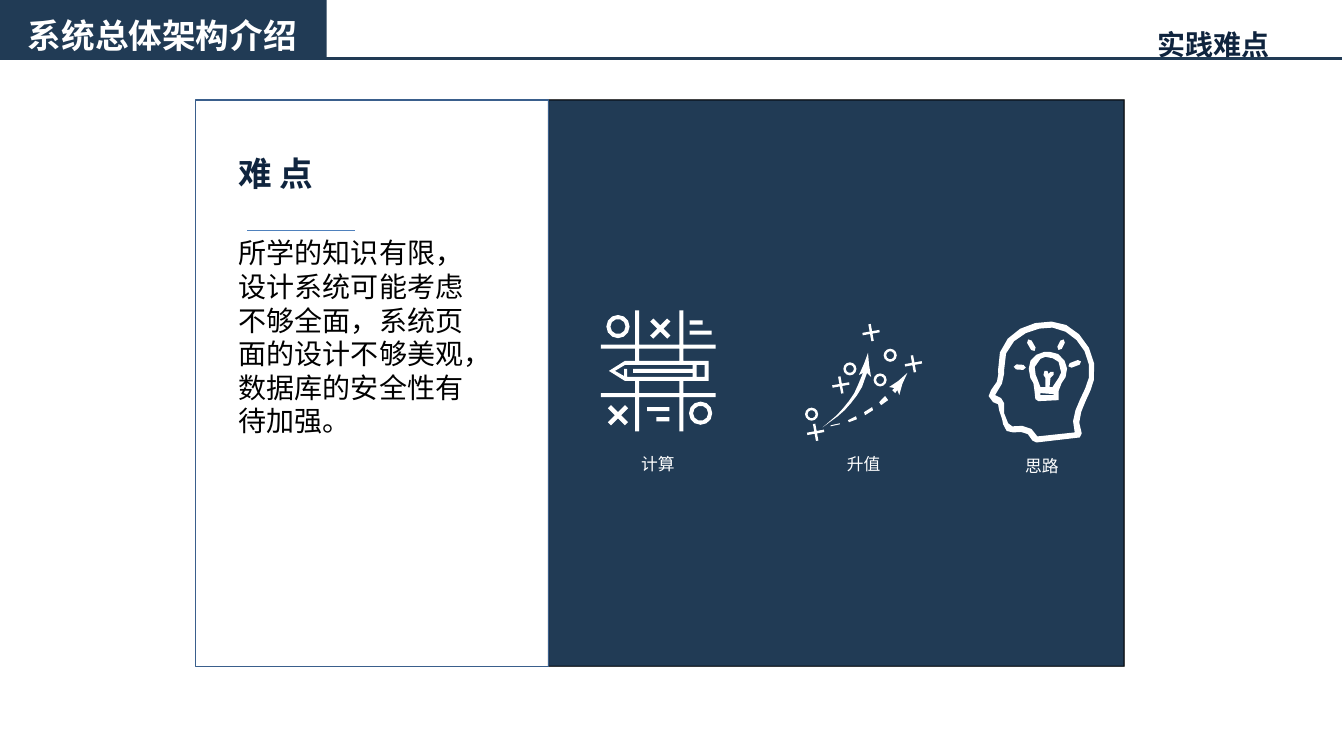
import math

from lxml import etree
from pptx import Presentation, util as u
from pptx.dml.color import RGBColor
from pptx.enum import shapes, text
from pptx.oxml.ns import qn

NAVY, INK, WHITE, BLACK = "213B55", "0F243E", "FFFFFF", "000000"
LEFT, CENTER, RIGHT = text.PP_ALIGN.LEFT, text.PP_ALIGN.CENTER, text.PP_ALIGN.RIGHT
TOP, MIDDLE = text.MSO_ANCHOR.TOP, text.MSO_ANCHOR.MIDDLE


def colour(value):
    return RGBColor.from_string(value)


def inches(*lengths):
    return [u.Inches(length) for length in lengths]


# ---- Basic parts ----
def paint(shape, fill=None, line=None, width=1):
    if fill:
        shape.fill.solid()
        shape.fill.fore_color.rgb = colour(fill)
    else:
        shape.fill.background()
    if line:
        shape.line.color.rgb = colour(line)
        shape.line.width = u.Pt(width)
    else:
        shape.line.fill.background()


def write(shape, words, size, ink, bold=False, font="Arial", align=LEFT, anchor=TOP, spacing=None):
    frame = shape.text_frame
    layout = {"word_wrap": True, "auto_size": text.MSO_AUTO_SIZE.NONE, "vertical_anchor": anchor}
    for name, value in layout.items():
        setattr(frame, name, value)
    para = frame.paragraphs[0]
    para.alignment, para.line_spacing = align, spacing
    span = para.add_run()
    span.text = words
    for name, value in {"name": font, "size": u.Pt(size), "bold": bold}.items():
        setattr(span.font, name, value)
    span.font.color.rgb = colour(ink)


def add_rect(page, box, **look):
    rect = page.shapes.add_shape(shapes.MSO_SHAPE.RECTANGLE, *inches(*box))
    rect.shadow.inherit = False
    paint(rect, **look)
    return rect


def add_label(page, box, words, size, ink, **look):
    write(page.shapes.add_textbox(*inches(*box)), words, size, ink, **look)


def add_rule(page, left, top, length, ink, width):
    rule = page.shapes.add_connector(
        shapes.MSO_CONNECTOR.STRAIGHT, *inches(left, top, left + length, top))
    rule.line.color.rgb = colour(ink)
    rule.line.width = u.Pt(width)
    etree.SubElement(rule._element.spPr, qn("a:effectLst"))


# ---- Icon outlines, in hundredths of an inch ----
def bar(left, top, right, bottom):
    return [(left, top), (right, top), (right, bottom), (left, bottom)]


def circle(x, y, radius, steps):
    turns = [2 * math.pi * step / steps for step in range(steps)]
    return [(x + radius * math.cos(turn), y + radius * math.sin(turn)) for turn in turns]


def ring(x, y, outer, inner):
    return [circle(x, y, outer, 12), circle(x, y, inner, 10)]


def cross(x, y, arm, half, tilt):
    points = []
    for quarter in range(4):
        turn = math.radians(tilt + 90 * quarter)
        c, s = math.cos(turn), math.sin(turn)
        points += [(x + a * c - b * s, y + a * s + b * c)
                   for a, b in ((arm, -half), (arm, half), (half, half))]
    return points


def ray(x1, y1, x2, y2, half=2.5):
    """A stroke with pointed ends."""
    length = math.hypot(x2 - x1, y2 - y1)
    dx, dy = half * (x2 - x1) / length, half * (y2 - y1) / length
    return [(x1 - dx, y1 - dy), (x1 + dy, y1 - dx), (x2 + dy, y2 - dx),
            (x2 + dx, y2 + dy), (x2 - dy, y2 + dx), (x1 - dy, y1 + dx)]


def curve(start, *arcs):
    """Follow cubic arcs (x1, y1, x2, y2, x, y); a pair (x, y) is a straight step."""
    points = [start]
    for arc in arcs:
        knots = [points[-1], arc[:2], arc[2:4], arc[4:]]
        if len(arc) == 2:
            points.append(arc)
            continue
        steps = max(1, min(5, round(math.dist(knots[0], knots[3]) / 8)))
        for step in range(1, steps + 1):
            t = step / steps
            weights = ((1 - t) ** 3, 3 * t * (1 - t) ** 2, 3 * t * t * (1 - t), t ** 3)
            points.append(tuple(sum(w * knot[axis] for w, knot in zip(weights, knots))
                                for axis in (0, 1)))
    return points


def calculation_outlines():
    frame = [(34, 0), (38, 0), (38, 34), (78, 34), (78, 0), (82, 0), (82, 34), (114, 34),
             (114, 38), (82, 38), (82, 50), (107, 50), (107, 70), (82, 70), (82, 82),
             (114, 82), (114, 86), (82, 86), (82, 120), (78, 120), (78, 86), (38, 86),
             (38, 120), (34, 120), (34, 86), (0, 86), (0, 82), (34, 82), (34, 70), (24, 70),
             (8, 60), (24, 50), (34, 50), (34, 38), (0, 38), (0, 34), (34, 34)]
    pencil = [(24, 54), (14, 60), (23, 65), (23, 58), (26, 58), (26, 66), (91, 66),
              (91, 62), (32, 62), (32, 58), (91, 58), (91, 54)]
    holes = [bar(38, 70, 78, 82), bar(38, 38, 78, 50), bar(95, 54, 103, 66)]
    signs = [bar(55, 106, 68, 110), bar(46, 96, 68, 100), bar(88, 20, 110, 24),
             bar(88, 10, 101, 14)]
    crosses = [cross(x, y, 12, 2.2, 45) for x, y in ((17, 104), (59, 18))]
    return [frame, pencil, *holes, *signs, *crosses,
            *ring(17, 16, 11.5, 7.5), *ring(99, 102, 11.5, 7.5)]


def growth_outlines():
    arrow = curve((62, 29), (63, 41), (65, 53), (61, 49), (56, 63),
                  (53, 69, 49, 74, 45, 79), (41, 84, 37, 88, 32, 92), (17, 103), (31, 91),
                  (35, 87, 39, 82, 43, 77), (47, 72, 50, 67, 52, 61), (57, 49),
                  (53, 51), (58, 40))
    tip = [(101, 49), (96, 60), (93, 71), (91, 66), (89, 69), (86, 66), (88, 64), (83, 63),
           (92, 57)]
    dashes = [[(34, 99), (34, 100), (25, 102), (25, 101)],
              [(50, 92), (51, 95), (43, 98), (42, 96)],
              [(66, 83), (67, 86), (59, 91), (58, 88)],
              [(79, 72), (82, 76), (75, 81), (73, 78)]]
    crosses = [cross(x, y, 8.5, 1.2, -10) for x, y in ((10, 108), (35, 61), (107, 40), (65, 9))]
    rings = [outline for x, y in ((6, 90), (74, 56), (44, 45), (84, 31.5))
             for outline in ring(x, y, 6.5, 4)]
    return [arrow, tip, *dashes, *crosses, *rings]


def idea_outlines():
    head = curve((62, 0), (87, 0, 110, 31, 104, 58), (101, 75, 83, 93, 92, 111),
                 (90, 115), (47, 120), (43, 118), (40, 109, 32, 109, 24, 110),
                 (20, 111, 14, 108, 14, 102), (13, 97), (10, 96, 7, 92, 10, 88),
                 (9, 82), (4, 80), (-1, 77, -2, 71, 2, 68), (11, 60, 9, 50, 9, 48),
                 (6, 16, 35, -1, 62, 0))
    face = curve((63, 6), (43, 5, 12, 17, 15, 48), (15, 48, 16, 62, 6, 73), (12, 76),
                 (15, 81), (15, 91), (16, 92, 20, 95, 19, 101), (23, 104),
                 (33, 102, 44, 104, 48, 114), (85, 110), (78, 91, 95, 74, 99, 56),
                 (103, 33, 86, 9, 63, 6))
    bulb = curve((60, 30), (66, 30, 72, 33, 75, 39), (78, 44, 78, 49, 76, 55),
                 (72, 61), (69, 69), (69, 78), (49, 79), (46, 77), (45, 68), (44, 61),
                 (41, 56), (38, 47, 39, 37, 47, 33), (55, 30))
    glass = curve((56, 35), (51, 37), (40, 44, 48, 56, 48, 57), (51, 65), (56, 65), (56, 56),
                  (54, 53), (55, 49), (58, 49), (59, 52), (61, 50), (64, 50), (64, 53),
                  (61, 56), (60, 65), (63, 65), (69, 56), (70, 54, 75, 49, 69, 40),
                  (66, 37, 61, 35, 56, 35))
    slot = [(51, 71), (51, 73), (64, 73), (64, 72)]
    rays = [ray(*ends) for ends in
            ((27, 45, 34, 45.5), (89, 40.5, 81, 43.5), (40, 20, 44, 27), (73, 20, 70, 26))]
    return [head, face, bulb, glass, slot, *rays]


def add_icon(page, left, top, outlines):
    scaled = [[(x * 10, y * 10) for x, y in outline] for outline in outlines]
    builder = page.shapes.build_freeform(*scaled[0][0], scale=u.Inches(0.001))
    for index, outline in enumerate(scaled):
        if index:
            builder.move_to(*outline[0])
        builder.add_line_segments(outline[1:], close=True)
    icon = builder.convert_to_shape(*inches(left, top))
    icon.shadow.inherit = False
    paint(icon, WHITE)


# ---- Regions ----
def add_header(page, left, top, width, height):
    label = add_rect(page, (left + 7.41, top + 0.12, 5.3, 0.54), fill=WHITE)
    write(label, "实践难点", 20, INK, bold=True, align=RIGHT, spacing=1.3)
    title = page.shapes.title
    title.left, title.top, title.width, title.height = inches(left, top, 3.26, height)
    paint(title, NAVY)
    write(title, "系统总体架构介绍", 24, WHITE, bold=True, align=CENTER, anchor=MIDDLE, spacing=1.3)
    add_rule(page, left, top + height, width, NAVY, 2)


def add_difficulty(page, left, top, width, height):
    add_rect(page, (left, top, width, height), line="3A5F8C")
    add_label(page, (left + 0.33, top + 0.48, 3.14, 0.5), "难 点", 24, INK, bold=True,
              font="Noto Sans CJK SC")
    add_label(page, (left + 0.33, top + 1.3, 2.5, 2.12),
              "所学的知识有限，设计系统可能考虑不够全面，系统页面的设计不够美观，数据库的安全性有待加强。",
              20, BLACK)
    add_rule(page, left + 0.51, top + 1.3, 1.07, "4F81BD", 0.5)


def add_icon_panel(page, left, top, width, height):
    panel = add_rect(page, (left, top, width, height), fill=NAVY, line=BLACK)
    ink = panel.line._ln.find(".//" + qn("a:srgbClr"))
    etree.SubElement(ink, qn("a:alpha"), val="70000")
    # Icon offset, caption offset, caption, outlines
    for x, y, label_x, label_y, words, outlines in (
            (0.52, 2.09, 0.51, 3.46, "计算", calculation_outlines()),
            (2.55, 2.22, 2.55, 3.46, "升值", growth_outlines()),
            (4.37, 2.2, 4.32, 3.48, "思路", idea_outlines())):
        add_icon(page, left + x, top + y, outlines)
        add_label(page, (left + label_x, top + label_y, 1.15, 0.3), words, 12, WHITE, align=CENTER)


def main():
    deck = Presentation()
    deck.slide_width, deck.slide_height = inches(13.33, 7.5)
    page = deck.slides.add_slide(deck.slide_layouts[5])
    add_header(page, -0.02, 0, 13.33, 0.58)
    add_icon_panel(page, 5.44, 0.99, 5.71, 5.62)
    add_difficulty(page, 1.94, 0.99, 3.5, 5.62)
    deck.save("out.pptx")


if __name__ == "__main__":
    main()
